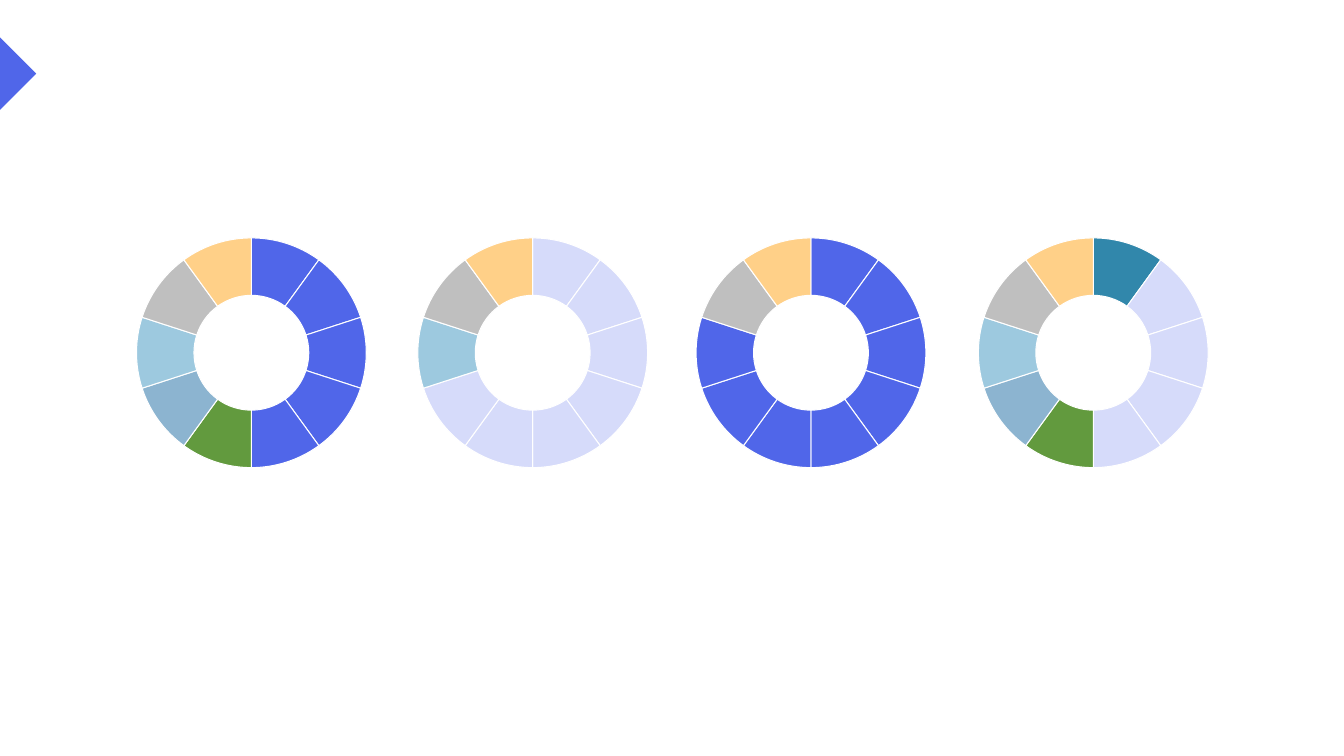
from lxml import etree
from pptx import Presentation
from pptx.chart.data import CategoryChartData
from pptx.dml.color import RGBColor
from pptx.enum.chart import XL_CHART_TYPE as ChartType
from pptx.oxml import parse_xml
from pptx.oxml.ns import nsdecls, qn
from pptx.util import Inches, Pt

FONT = "Noto Sans CJK SC"
BLUE, PALE, TEAL = "5066E9", "D6DBFA", "3187AB"
TAIL = ["629A3E", "8CB4D0", "9DC9DF", "BFBFBF", "FFD088"]
RINGS = [
    (1.21, [BLUE] * 5 + TAIL),
    (4, [PALE] * 7 + TAIL[2:]),
    (6.76, [BLUE] * 8 + TAIL[3:]),
    (9.56, [TEAL] + [PALE] * 4 + TAIL),
]
RING_TOP, RING_WIDTH, RING_HEIGHT = 2.14, 2.57, 2.72
DIAMETER, HOLE = 2.28, 54


def rgb(color):
    """Return the colour for a hex string."""
    return RGBColor.from_string(color)


def set_ring_size(chart):
    """Centre the ring in its frame and set the size of its hole."""
    w, h = DIAMETER / RING_WIDTH, DIAMETER / RING_HEIGHT
    sizes = {"x": (1 - w) / 2, "y": (1 - h) / 2, "w": w, "h": h}
    layout = parse_xml(
        f'<c:layout {nsdecls("c")}><c:manualLayout><c:layoutTarget val="inner"/>'
        '<c:xMode val="edge"/><c:yMode val="edge"/></c:manualLayout></c:layout>'
    )
    for name, size in sizes.items():
        etree.SubElement(layout[0], qn(f"c:{name}")).set("val", f"{size:.3f}")
    plot_area = next(chart.element.iter(qn("c:plotArea")))
    for old in plot_area.findall(qn("c:layout")):
        plot_area.remove(old)
    plot_area.insert(0, layout)
    next(plot_area.iter(qn("c:holeSize"))).set("val", str(HOLE))


def add_ring(slide, left, colors):
    """Add a doughnut chart with one equal slice per colour."""
    data = CategoryChartData()
    data.categories = [str(i) for i in range(1, len(colors) + 1)]
    data.add_series("Series 1", [10] * len(colors))
    chart = slide.shapes.add_chart(
        ChartType.DOUGHNUT, Inches(left), Inches(RING_TOP),
        Inches(RING_WIDTH), Inches(RING_HEIGHT), data,
    ).chart
    chart.has_title = False
    chart.has_legend = False
    chart.font.name = FONT
    chart.font.size = Pt(18)
    chart.font.color.rgb = rgb("000000")
    plot = chart.plots[0]
    plot.vary_by_categories = True
    plot.has_data_labels = False
    for i, color in enumerate(colors):
        fmt = plot.series[0].points[i].format
        fmt.fill.solid()
        fmt.fill.fore_color.rgb = rgb(color)
        fmt.line.color.rgb = rgb("FFFFFF")
        fmt.line.width = Pt(0.75)
    set_ring_size(chart)


def add_marker(slide, points, color):
    """Add a filled outline through the points."""
    corners = [(Inches(x), Inches(y)) for x, y in points]
    builder = slide.shapes.build_freeform(*corners[0])
    builder.add_line_segments(corners[1:], close=True)
    sp = builder.convert_to_shape()
    sp.shadow.inherit = False
    sp.fill.solid()
    sp.fill.fore_color.rgb = rgb(color)
    sp.line.fill.background()


def main():
    """Build and save the slide."""
    prs = Presentation()
    prs.slide_width, prs.slide_height = Inches(13.33), Inches(7.5)
    slide = prs.slides.add_slide(prs.slide_layouts[6])
    for left, colors in RINGS:
        add_ring(slide, left, colors)
    add_marker(slide, [(0, 0.37), (0.36, 0.73), (0, 1.09)], BLUE)
    prs.save("out.pptx")


if __name__ == "__main__":
    main()
